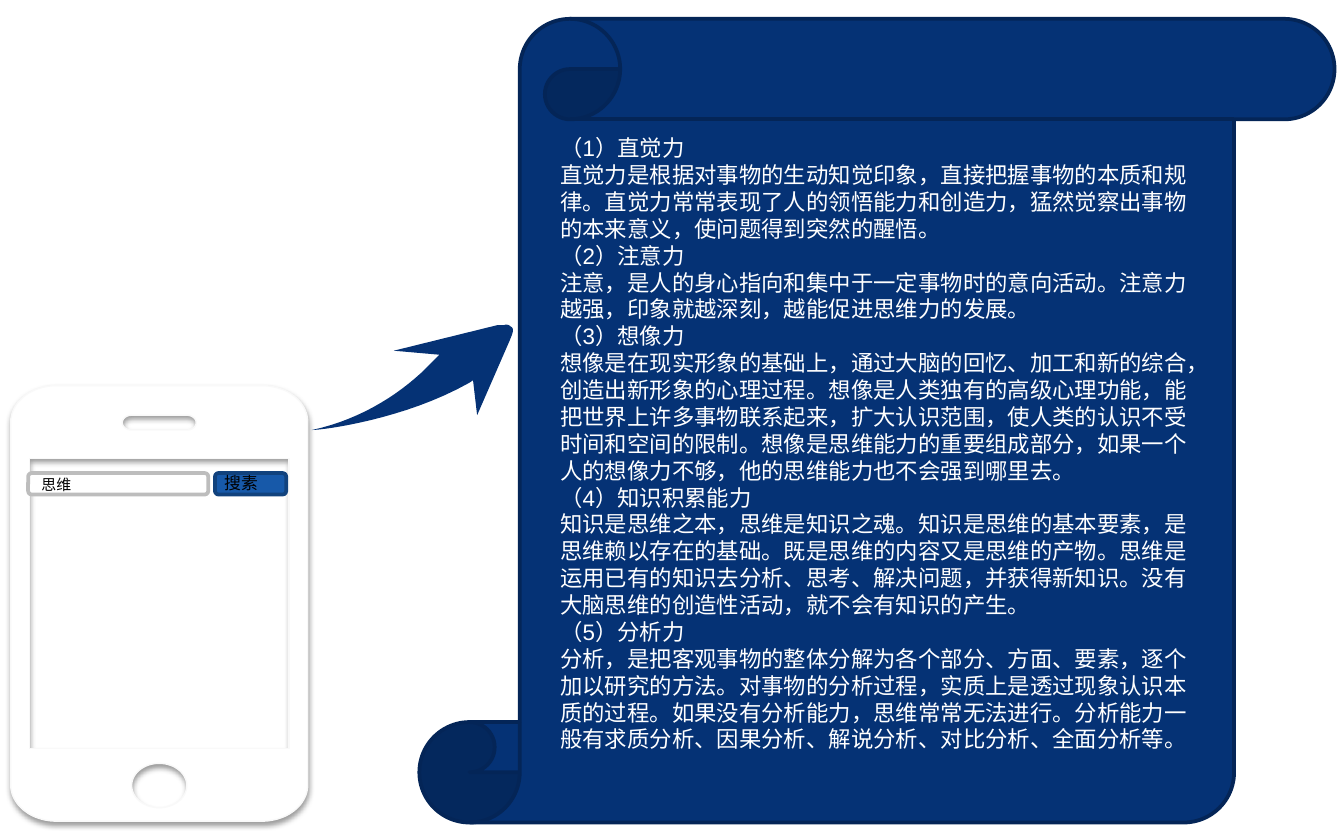
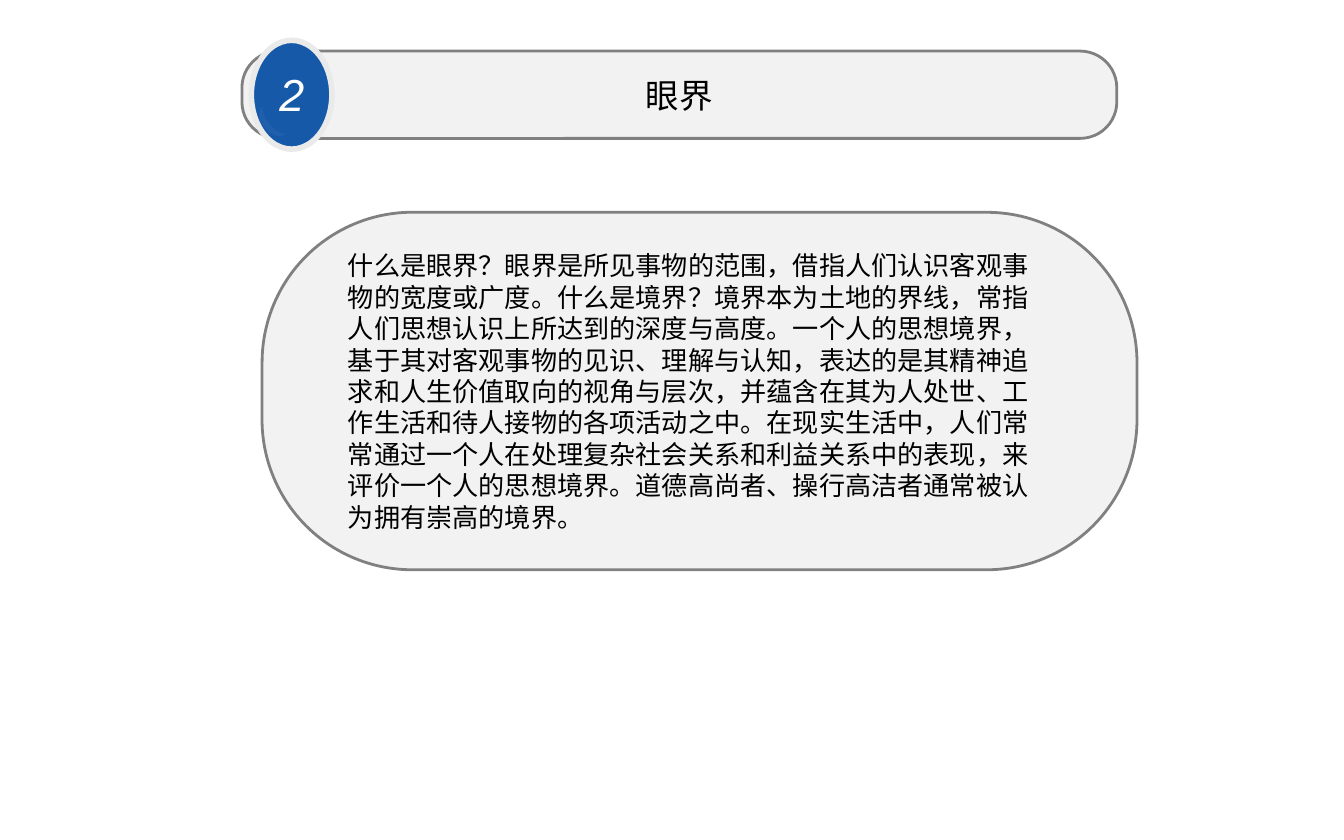
from dataclasses import dataclass
from math import cos, pi, radians, sin

from lxml.etree import SubElement
from pptx import Presentation
from pptx.dml.color import RGBColor
from pptx.enum.shapes import MSO_SHAPE as Preset
from pptx.enum.text import MSO_ANCHOR as Anchor, MSO_AUTO_SIZE as AutoSize, PP_ALIGN as Align
from pptx.oxml.ns import qn
from pptx.util import Emu, Inches, Pt


@dataclass(frozen=True)
class Theme:
    font: str = "Arial"
    navy: str = "053275"
    navy_edge: str = "042557"
    blue: str = "1759A9"
    blue_edge: str = "11427D"
    white: str = "FFFFFF"
    phone_edge: str = "F9F9F9"
    field_edge: str = "BDBDBD"
    badge_edge: str = "EAEAEA"
    panel: str = "F2F2F2"
    panel_edge: str = "808080"
    black: str = "000000"
    field_size: float = 8
    button_size: float = 9
    scroll_size: float = 12
    body_size: float = 14
    title_size: float = 18
    number_size: float = 24


THEME = Theme()

# The slide is a grid of 100 columns and 62.5 rows of the same size
COLUMNS, ROWS = 100, 62.5
CELL = Inches(10) / COLUMNS

ABILITIES = [
    ("（1）直觉力",
     "直觉力是根据对事物的生动知觉印象，直接把握事物的本质和规律。直觉力常常表现了人的领悟能力和创造力，"
     "猛然觉察出事物的本来意义，使问题得到突然的醒悟。"),
    ("（2）注意力",
     "注意，是人的身心指向和集中于一定事物时的意向活动。注意力越强，印象就越深刻，越能促进思维力的发展。"),
    ("（3）想像力",
     "想像是在现实形象的基础上，通过大脑的回忆、加工和新的综合，创造出新形象的心理过程。"
     "想像是人类独有的高级心理功能，能把世界上许多事物联系起来，扩大认识范围，使人类的认识不受时间和空间的限制。"
     "想像是思维能力的重要组成部分，如果一个人的想像力不够，他的思维能力也不会强到哪里去。"),
    ("（4）知识积累能力",
     "知识是思维之本，思维是知识之魂。知识是思维的基本要素，是思维赖以存在的基础。既是思维的内容又是思维的产物。"
     "思维是运用已有的知识去分析、思考、解决问题，并获得新知识。没有大脑思维的创造性活动，就不会有知识的产生。"),
    ("（5）分析力",
     "分析，是把客观事物的整体分解为各个部分、方面、要素，逐个加以研究的方法。"
     "对事物的分析过程，实质上是透过现象认识本质的过程。如果没有分析能力，思维常常无法进行。"
     "分析能力一般有求质分析、因果分析、解说分析、对比分析、全面分析等。"),
]

HORIZON = (
    "什么是眼界？眼界是所见事物的范围，借指人们认识客观事物的宽度或广度。什么是境界？境界本为土地的界线，"
    "常指人们思想认识上所达到的深度与高度。一个人的思想境界，基于其对客观事物的见识、理解与认知，"
    "表达的是其精神追求和人生价值取向的视角与层次，并蕴含在其为人处世、工作生活和待人接物的各项活动之中。"
    "在现实生活中，人们常常通过一个人在处理复杂社会关系和利益关系中的表现，来评价一个人的思想境界。"
    "道德高尚者、操行高洁者通常被认为拥有崇高的境界。"
)

# Arrow outline: pairs are corners, sixes are Bézier curves
ARROW = [
    (37.5, 24.2), (37.7, 24.1, 37.9, 24.2, 38, 24.3), (38.2, 24.4, 38.2, 24.6, 38.1, 24.9),
    (37.9, 25.4), (36.2, 29.3), (35.5, 30.9), (35.2, 28.3), (34.9, 28.5),
    (30.1, 31.2, 24.1, 32, 23.2, 32), (27, 31.2, 30.1, 29.1, 32.1, 27),
    (32.7, 26.4), (29.3, 26.1), (37, 24.2),
]


# Geometry
def cells(*lengths):
    return [Emu(round(length * CELL)) for length in lengths]


def rounded_outline(left, top, width, height, radius_x, radius_y, steps=24):
    """Points of a rectangle with elliptical corners, clockwise."""
    center_x, center_y = left + width / 2, top + height / 2
    points = []
    for start, side_x, side_y in ((0, 1, 1), (90, -1, 1), (180, -1, -1), (270, 1, -1)):
        corner_x = center_x + side_x * (width / 2 - radius_x)
        corner_y = center_y + side_y * (height / 2 - radius_y)
        for step in range(steps + 1):
            angle = radians(start) + step / steps * pi / 2
            points.append((corner_x + radius_x * cos(angle), corner_y + radius_y * sin(angle)))
    return points


def curved_outline(segments, steps=16):
    points = []
    for segment in segments:
        if len(segment) == 2:
            points.append(segment)
            continue
        controls = [points[-1], segment[:2], segment[2:4], segment[4:]]
        for step in range(1, steps + 1):
            t = step / steps
            weights = ((1 - t) ** 3, 3 * t * (1 - t) ** 2, 3 * t * t * (1 - t), t ** 3)
            points.append(tuple(
                sum(weight * control[axis] for weight, control in zip(weights, controls))
                for axis in (0, 1)))
    return points


# Elements
def paint(shape, fill, line=None, line_width=0):
    shape.shadow.inherit = False
    shape.fill.solid()
    shape.fill.fore_color.rgb = RGBColor.from_string(fill)
    if line:
        shape.line.color.rgb = RGBColor.from_string(line)
        shape.line.width = Pt(line_width)
    else:
        shape.line.fill.background()
    return shape


def add_preset(slide, preset, box, fill, line=None, line_width=0, adjustment=None):
    shape = slide.shapes.add_shape(preset, *cells(*box))
    if adjustment is not None:
        shape.adjustments[0] = adjustment
    return paint(shape, fill, line, line_width)


def add_outline(slide, contours, fill, line=None, line_width=0):
    first, *holes = [[cells(*point) for point in contour] for contour in contours]
    builder = slide.shapes.build_freeform(*first[0])
    builder.add_line_segments(first[1:])
    for hole in holes:
        builder.move_to(*hole[0])
        builder.add_line_segments(hole[1:])
    return paint(builder.convert_to_shape(), fill, line, line_width)


def write(frame, texts, size, color, align=Align.LEFT, italic=None):
    for index, text in enumerate(texts):
        paragraph = frame.paragraphs[0] if index == 0 else frame.add_paragraph()
        paragraph.alignment = align
        run = paragraph.add_run()
        run.text = text
        run.font.name = THEME.font
        run.font.size = Pt(size)
        run.font.italic = italic
        run.font.color.rgb = RGBColor.from_string(color)


def add_text(slide, box, texts, size, color, **style):
    frame = slide.shapes.add_textbox(*cells(*box)).text_frame
    frame.word_wrap = True
    frame.auto_size = AutoSize.SHAPE_TO_FIT_TEXT
    write(frame, texts, size, color, **style)


def add_panel(slide, box):
    return add_preset(slide, Preset.ROUNDED_RECTANGLE, box, THEME.panel,
                      THEME.panel_edge, 1.5, adjustment=0.42)


def set_alpha(color_element, percent):
    SubElement(color_element, qn("a:alpha"), val=str(percent * 1000))


def drop_shadow(shape, blur, distance, opacity):
    effects = shape._element.spPr.find(qn("a:effectLst"))
    shadow = SubElement(effects, qn("a:outerShdw"), blurRad=str(Pt(blur)), dist=str(Pt(distance)),
                        dir=str(90 * 60000), algn="t", rotWithShape="0")
    set_alpha(SubElement(shadow, qn("a:srgbClr"), val=THEME.black), opacity)


def add_phone(slide):
    body = rounded_outline(0.8, 28.7, 22.1, 32.4, 3.4, 2.7)
    speaker = rounded_outline(9.1, 30.9, 5.5, 1.1, 0.7, 0.55)
    button = rounded_outline(9.8, 56.8, 4.1, 3.3, 2.05, 1.65)
    screen = [(21.5, 55.7), (2.2, 55.7), (2.2, 34.1), (21.5, 34.1)]
    phone = add_outline(slide, (body, speaker, button, screen), THEME.white, THEME.phone_edge, 0.75)
    drop_shadow(phone, blur=3.1, distance=1.6, opacity=38)

    # Search bar
    add_preset(slide, Preset.ROUNDED_RECTANGLE, (2.1, 35.2, 13.4, 1.6),
               THEME.white, THEME.field_edge, 2)
    add_preset(slide, Preset.ROUNDED_RECTANGLE, (16, 35.2, 5.3, 1.6),
               THEME.blue, THEME.blue_edge, 2)
    add_text(slide, (15.7, 34.7, 5.8, 2.5), ["搜素"], THEME.button_size, THEME.black)
    add_text(slide, (2.1, 34.9, 7, 2.3), ["思维"], THEME.field_size, THEME.black)


def add_badge(slide, number):
    add_preset(slide, Preset.OVAL, (18.7, 3, 6, 8.1), THEME.blue, THEME.badge_edge, 3)
    gloss = add_preset(slide, Preset.MOON, (19.6, 7.9, 0.9, 2.7), THEME.white, adjustment=0.5)
    gloss.rotation = 139.5
    properties = gloss._element.spPr
    properties.xfrm.set("flipH", "1")
    properties.xfrm.set("flipV", "1")
    set_alpha(properties.find(qn("a:solidFill"))[0], 4)
    add_text(slide, (19.8, 4.5, 3.8, 5), [number], THEME.number_size, THEME.white,
             align=Align.CENTER, italic=True)


# Slides
def build_abilities(slide):
    add_preset(slide, Preset.VERTICAL_SCROLL, (31.2, 1.4, 68.1, 59.8),
               THEME.navy, THEME.navy_edge, 2)
    add_phone(slide)
    lines = [text for ability in ABILITIES for text in ability]
    add_text(slide, (40.7, 9.5, 49.5, 47.4), lines, THEME.scroll_size, THEME.white)
    add_outline(slide, [curved_outline(ARROW)], THEME.navy)


def build_horizon(slide):
    frame = add_panel(slide, (18, 3.8, 65.1, 6.5)).text_frame
    frame.word_wrap = False
    frame.vertical_anchor = Anchor.MIDDLE
    write(frame, ["眼界"], THEME.title_size, THEME.black, Align.CENTER)
    add_badge(slide, "2")
    add_panel(slide, (19.5, 15.8, 65.1, 26.6))
    add_text(slide, (24.9, 18.1, 54.3, 22.2), [HORIZON], THEME.body_size, THEME.black)


def main():
    presentation = Presentation()
    presentation.slide_width, presentation.slide_height = cells(COLUMNS, ROWS)
    blank = presentation.slide_layouts[6]
    for build in (build_abilities, build_horizon):
        build(presentation.slides.add_slide(blank))
    presentation.save("out.pptx")


if __name__ == "__main__":
    main()
